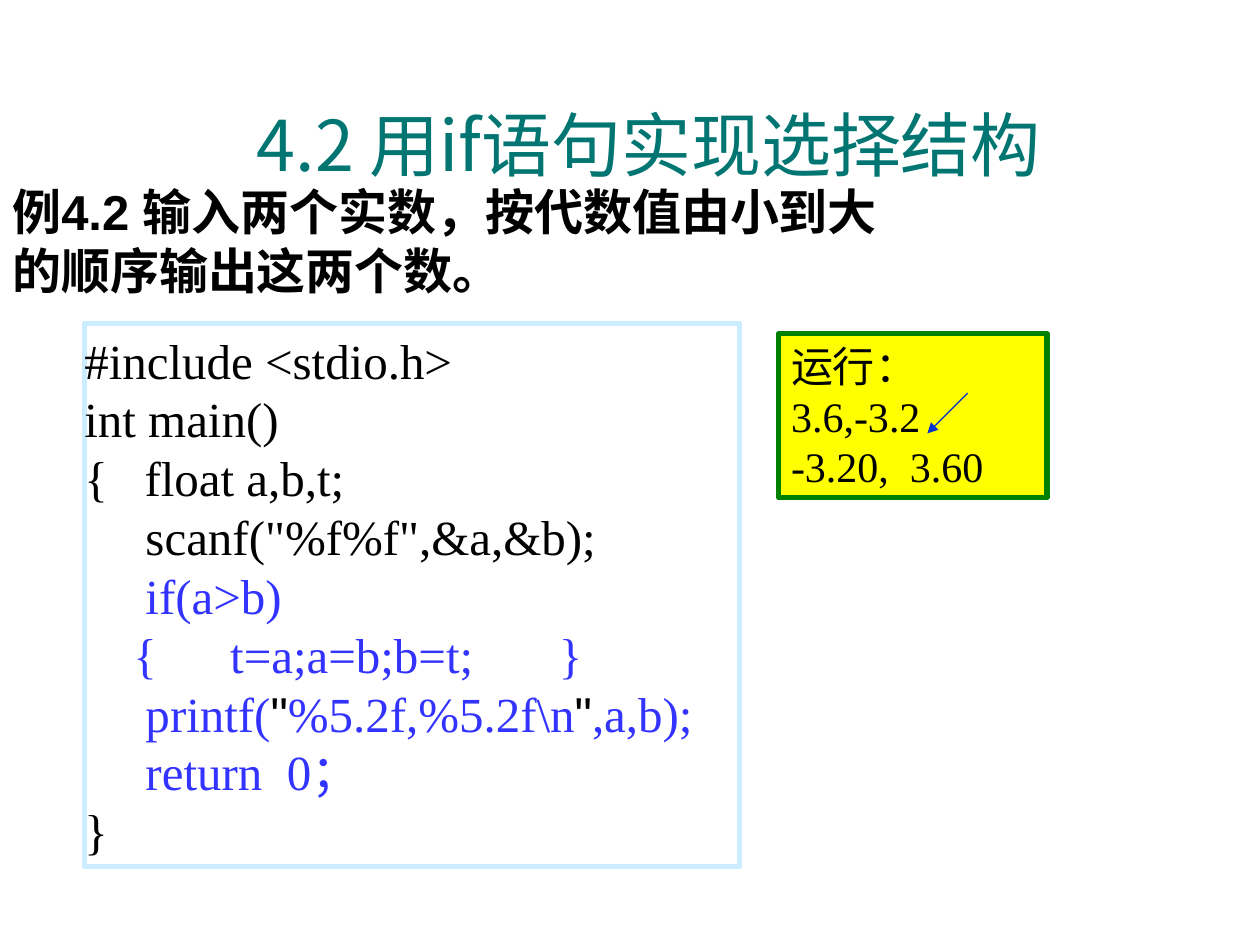
from dataclasses import dataclass

from lxml.etree import SubElement
from pptx import Presentation
from pptx.dml.color import RGBColor as Rgb
from pptx.enum.shapes import MSO_CONNECTOR as Link, MSO_SHAPE as Form
from pptx.enum.text import MSO_ANCHOR as Anchor, PP_ALIGN as Align
from pptx.oxml.ns import qn
from pptx.util import Inches, Pt


@dataclass(frozen=True)
class Theme:
    sans: str = "Arial"
    serif: str = "Times New Roman"
    han: str = "Noto Sans CJK SC"
    head: int = 40
    body: int = 28
    small: int = 24
    teal: str = "007572"
    black: str = "000000"
    blue: str = "3333FF"
    arrow: str = "0033CC"
    white: str = "FFFFFF"
    pale: str = "CCECFF"
    yellow: str = "FFFF00"
    green: str = "008000"


class Deck:
    """Draw styled elements on the current slide."""

    def __init__(self, theme):
        self.theme = theme
        self.show = Presentation()
        self.show.slide_width, self.show.slide_height = Inches(10), Inches(7.5)
        self.slide = self.show.slides.add_slide(self.show.slide_layouts[6])

    def style(self, font, face, color):
        font.color.rgb = Rgb.from_string(color)
        font.name = face

    def put(self, frame, lines, face, size, bold=False, align=Align.LEFT):
        frame.word_wrap = True
        for i, (color, *parts) in enumerate(lines):
            para = frame.paragraphs[0] if i == 0 else frame.add_paragraph()
            para.alignment = align
            para.font.size, para.font.bold = Pt(size), bold
            self.style(para.font, face, color)
            for part in parts:
                run = para.add_run()
                run.text = part
                if part == '"':
                    self.style(run.font, self.theme.sans, self.theme.black)
            tag = para.font._element
            SubElement(tag, qn("a:ea")).set("typeface", self.theme.han)

    def text(self, at, line, face, size, anchor=Anchor.TOP, **look):
        frame = self.slide.shapes.add_textbox(*map(Inches, at)).text_frame
        frame.vertical_anchor = anchor
        self.put(frame, [line], face, size, **look)

    def box(self, at, lines, size, fill, edge, inset=0.1):
        form = self.slide.shapes.add_shape(Form.RECTANGLE, *map(Inches, at))
        form.shadow.inherit = False
        form.fill.solid()
        form.fill.fore_color.rgb = Rgb.from_string(fill)
        form.line.color.rgb = Rgb.from_string(edge)
        form.line.width = Pt(3)
        frame = form.text_frame
        frame.vertical_anchor = Anchor.TOP
        frame.margin_left = Inches(inset)
        self.put(frame, lines, self.theme.serif, size)

    def arrow(self, ends):
        link = self.slide.shapes.add_connector(Link.STRAIGHT, *map(Inches, ends))
        link.line.color.rgb = Rgb.from_string(self.theme.arrow)
        link.line.width = Pt(0.75)
        props = link._element.spPr
        SubElement(props.get_or_add_ln(), qn("a:tailEnd")).set("type", "triangle")
        SubElement(props, qn("a:effectLst"))


def main():
    look = Theme()
    deck = Deck(look)
    black, blue = look.black, look.blue
    deck.text((0.15, 0.5, 10, 1.28), (look.teal, "4.2 用if语句实现选择结构"),
              look.han, look.head, Anchor.MIDDLE, align=Align.CENTER)
    deck.text((0, 1.39, 7.44, 1.04),
              (black, "例4.2 输入两个实数，按代数值由小到大的顺序输出这两个数。"),
              look.sans, look.body, bold=True)
    code = [
        (black, "#include <stdio.h>"),
        (black, "int main()"),
        (black, "{   float a,b,t;"),
        (black, '     scanf("%f%f",&a,&b);'),
        (blue, "     if(a>b)"),
        (blue, "    {      t=a;a=b;b=t;       }"),
        (blue, "     printf(", '"', r"%5.2f,%5.2f\n", '"', ",a,b);"),
        (blue, "     return  0；"),
        (black, "}"),
    ]
    deck.box((0.67, 2.57, 5.2, 4.31), code, look.body, look.white, look.pale, 0)
    result = [(black, line) for line in ("运行：", "3.6,-3.2", "-3.20,  3.60")]
    deck.box((6.18, 2.65, 2.13, 1.3), result, look.small, look.yellow, look.green)
    deck.arrow((7.68, 3.12, 7.36, 3.44))
    deck.show.save("out.pptx")


if __name__ == "__main__":
    main()
